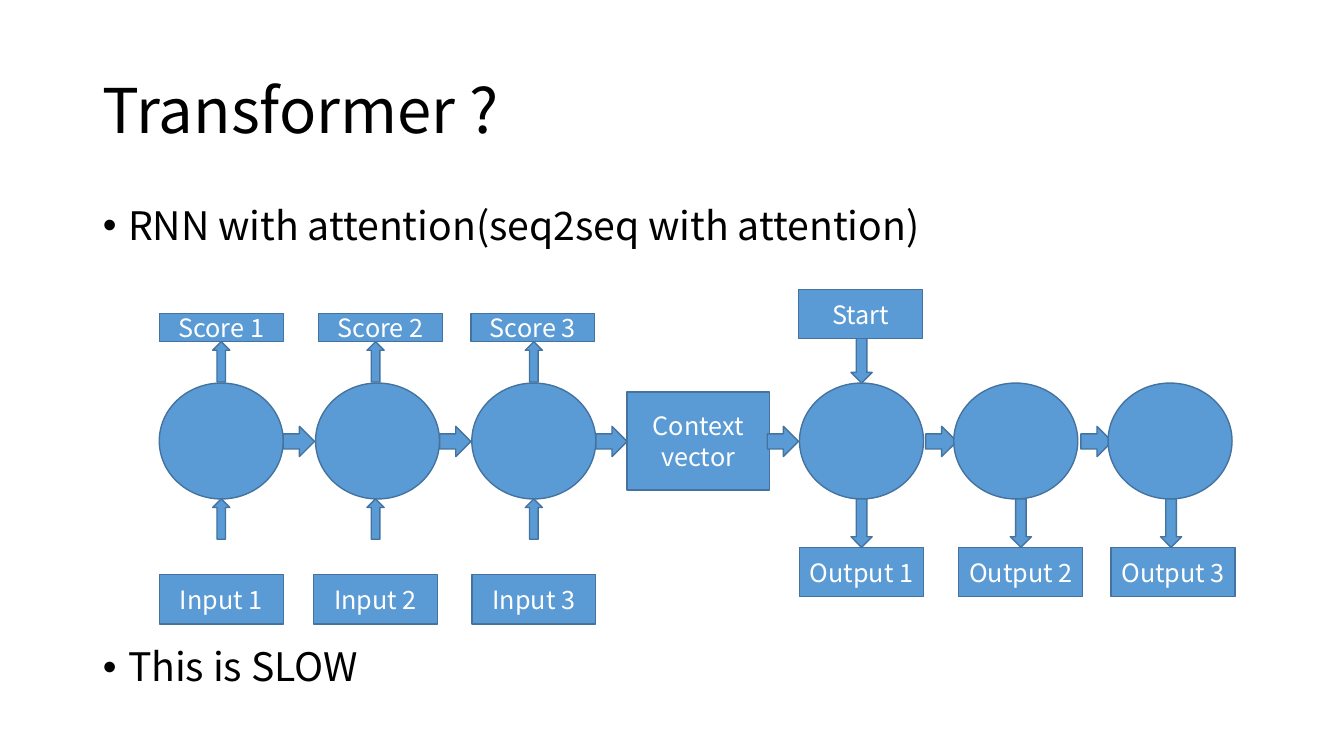
from dataclasses import dataclass

from lxml import etree
from pptx import Presentation
from pptx.dml.color import RGBColor
from pptx.enum import shapes, text
from pptx.oxml import ns
from pptx.util import Inches, Pt

KIND = shapes.MSO_SHAPE


@dataclass(frozen=True)
class Theme:
    font: str = "Noto Sans CJK KR"
    ink: str = "000000"
    pale: str = "FFFFFF"
    fill: str = "5B9BD5"
    edge: str = "43739E"
    title: int = 44
    body: int = 28
    label: int = 18


@dataclass(frozen=True)
class Row:
    """Equal shapes side by side, one for each left edge."""
    kind: KIND
    lefts: tuple[float, ...]
    top: float
    width: float
    height: float
    labels: tuple[str, ...] = ()


THEME = Theme()
NODE = (1.23, 1.15)
BOX = (1.23, 0.49)
SIDE = (0.31, 0.3)
RISE = (0.17, 0.4)
DROP = (0.21, 0.48)
RISES = (2.11, 3.64, 5.21)
ENCODER = tuple(1.58 + 1.55 * i for i in range(3))
DECODER = tuple(7.93 + 1.53 * i for i in range(3))


def number(word: str) -> tuple[str, ...]:
    return tuple(f"{word} {i}" for i in range(1, 4))


ROWS = (
    Row(KIND.OVAL, ENCODER, 3.8, *NODE),
    Row(KIND.RIGHT_ARROW, (2.81, 4.36, 5.91), 4.23, *SIDE),
    Row(KIND.UP_ARROW, RISES, 4.95, *RISE),
    Row(KIND.RECTANGLE, (1.58, 3.11, 4.68), 5.7, *BOX, number("Input")),
    Row(KIND.RECTANGLE, (6.22,), 3.89, 1.41, 0.97, ("Context\nvector",)),
    Row(KIND.RIGHT_ARROW, (7.61, 9.18, 10.72), 4.23, *SIDE),
    Row(KIND.OVAL, DECODER, 3.8, *NODE),
    Row(KIND.DOWN_ARROW, (8.44,), 3.32, *DROP),
    Row(KIND.DOWN_ARROW, (8.44, 10.02, 11.51), 4.95, *DROP),
    Row(KIND.RECTANGLE, (7.93, 9.51, 11.02), 5.43, *BOX, number("Output")),
    Row(KIND.RECTANGLE, (7.92,), 2.87, *BOX, ("Start",)),
    Row(KIND.UP_ARROW, RISES, 3.39, *RISE),
    Row(KIND.RECTANGLE, (1.58, 3.16, 4.67), 3.11, 1.23, 0.28, number("Score")),
)


def apply(target, values: dict) -> None:
    for name, value in values.items():
        setattr(target, name, value)


def write(shape, words: str, size: int, color: str, frame: dict, para: dict) -> None:
    """Fill a shape with one paragraph per line of words."""
    shape.text_frame.text = words
    apply(shape.text_frame, frame)
    for item in shape.text_frame.paragraphs:
        apply(item, para)
        for run in item.runs:
            apply(run.font, {"name": THEME.font, "size": Pt(size)})
            run.font.color.rgb = RGBColor.from_string(color)


def place(shape, left: float, top: float, width: float, height: float) -> None:
    apply(shape, {"left": Inches(left), "top": Inches(top),
                  "width": Inches(width), "height": Inches(height)})


def bullet(item) -> None:
    props = item._p.get_or_add_pPr()
    props.set("marL", str(Inches(0.25)))
    props.set("indent", str(-Inches(0.25)))
    etree.SubElement(props, ns.qn("a:buFont")).set("typeface", "Arial")
    etree.SubElement(props, ns.qn("a:buChar")).set("char", "•")


def draw(slide, row: Row) -> None:
    for i, left in enumerate(row.lefts):
        shape = slide.shapes.add_shape(row.kind, *map(
            Inches, (left, row.top, row.width, row.height)))
        shape.shadow.inherit = False
        shape.fill.solid()
        shape.fill.fore_color.rgb = RGBColor.from_string(THEME.fill)
        shape.line.color.rgb = RGBColor.from_string(THEME.edge)
        shape.line.width = Pt(1)
        if row.labels:
            write(shape, row.labels[i], THEME.label, THEME.pale,
                  {"vertical_anchor": text.MSO_ANCHOR.MIDDLE, "word_wrap": False},
                  {"alignment": text.PP_ALIGN.CENTER})


def main() -> None:
    deck = Presentation()
    apply(deck, {"slide_width": Inches(13.33), "slide_height": Inches(7.5)})
    slide = deck.slides.add_slide(deck.slide_layouts[1])
    title, body = slide.placeholders

    place(title, 0.92, 0.4, 11.5, 1.45)
    write(title, "Transformer ?", THEME.title, THEME.ink,
          {"vertical_anchor": text.MSO_ANCHOR.MIDDLE,
           "auto_size": text.MSO_AUTO_SIZE.NONE},
          {"alignment": text.PP_ALIGN.LEFT, "line_spacing": 0.9})

    place(body, 0.92, 2, 11.5, 5.23)
    write(body, "RNN with attention(seq2seq with attention)\nThis is SLOW",
          THEME.body, THEME.ink,
          {"vertical_anchor": text.MSO_ANCHOR.TOP,
           "auto_size": text.MSO_AUTO_SIZE.NONE},
          {"line_spacing": 0.9, "space_before": Pt(10)})
    for item in body.text_frame.paragraphs:
        bullet(item)
    body.text_frame.paragraphs[1].space_before = Pt(285)

    for row in ROWS:
        draw(slide, row)
    deck.save("out.pptx")


if __name__ == "__main__":
    main()
